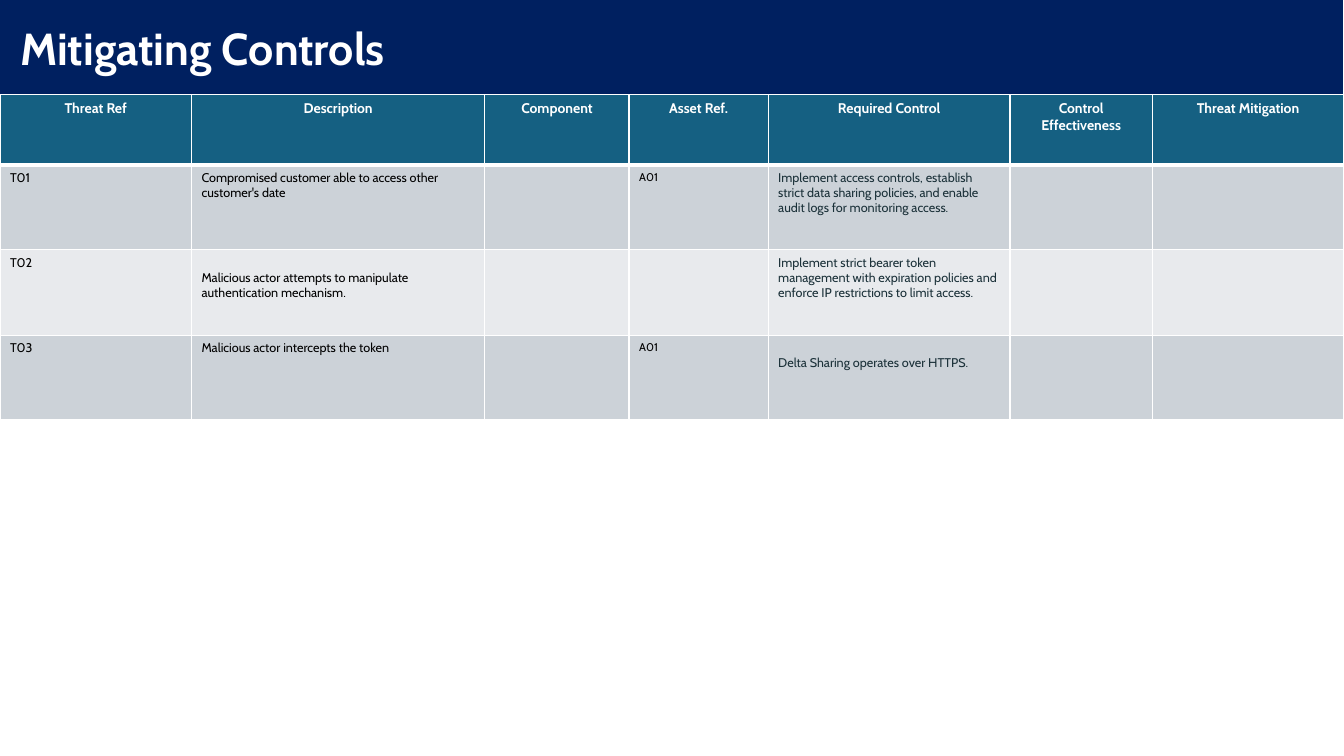
from dataclasses import dataclass
from typing import Any

from lxml import etree
from pptx import Presentation
from pptx import util as u
from pptx.dml.color import RGBColor
from pptx.enum import text
from pptx.oxml import ns

SLIDE_WIDTH, SLIDE_HEIGHT = u.Inches(13.33), u.Inches(7.5)
FONT = "Cabin"
WHITE, BLACK, SLATE = "FFFFFF", "000000", "1B3139"
NAVY, TEAL, BANDS = "002060", "156082", ("CCD2D8", "E8EAED")

# Shares of the slide's size, in percent
TITLE_WIDTH, TITLE_HEIGHT = 99.92, 12.53
COLUMN_SHARES = (14.25, 21.83, 10.73, 10.35, 18, 10.58, 14.26)
ROW_SHARES = (9.33, 11.2, 11.33, 11.07)

HEADINGS = ("Threat Ref", "Description", "Component", "Asset Ref.",
            "Required Control", "Control Effectiveness", "Threat Mitigation")
LINE_DROP = u.Inches(0.2)  # top margin of cells that start one line lower


@dataclass(frozen=True)
class Entry:
    wording: str
    size: float = 9
    colour: str = BLACK
    bold: bool = False
    centred: bool = False
    lowered: bool = False


@dataclass(frozen=True)
class Threat:
    reference: Entry
    description: Entry
    asset: Entry
    control: Entry

    def entries(self) -> list[Entry]:
        blank = Entry("")
        return [self.reference, self.description, blank, self.asset,
                self.control, blank, blank]


THREATS = (
    Threat(Entry("T01"),
           Entry("Compromised customer able to access other customer's date"),
           Entry("A01", size=8),
           Entry("Implement access controls, establish strict data sharing "
                 "policies, and enable audit logs for monitoring access.",
                 colour=SLATE)),
    Threat(Entry("T02"),
           Entry("Malicious actor attempts to manipulate authentication "
                 "mechanism.", lowered=True),
           Entry(""),
           Entry("Implement strict bearer token management with expiration "
                 "policies and enforce IP restrictions to limit access.",
                 colour=SLATE)),
    Threat(Entry("T03"),
           Entry("Malicious actor intercepts the token"),
           Entry("A01", size=8),
           Entry("Delta Sharing operates over HTTPS.", colour=SLATE,
                 lowered=True)),
)


def across(percent: float) -> int:
    return round(SLIDE_WIDTH * percent / 100)


def down(percent: float) -> int:
    return round(SLIDE_HEIGHT * percent / 100)


def paint(target: Any, colour: str) -> None:
    target.fill.solid()
    target.fill.fore_color.rgb = RGBColor.from_string(colour)


def apply(target: Any, values: dict[str, Any]) -> None:
    for name, value in values.items():
        setattr(target, name, value)


def write(frame: Any, entry: Entry) -> None:
    paragraph = frame.paragraphs[0]
    paragraph.alignment = (text.PP_ALIGN.CENTER if entry.centred
                           else text.PP_ALIGN.LEFT)
    font = paragraph.font
    if entry.wording:
        run = paragraph.add_run()
        run.text = entry.wording
        font = run.font
    apply(font, {"name": FONT, "size": u.Pt(entry.size), "bold": entry.bold})
    font.color.rgb = RGBColor.from_string(entry.colour)


def border(cell: Any, widths: dict[str, float]) -> None:
    properties = cell._tc.get_or_add_tcPr()
    for position, (side, points) in enumerate(widths.items()):
        line = etree.Element(ns.qn(f"a:ln{side}"), w=str(u.Pt(points)))
        fill = etree.SubElement(line, ns.qn("a:solidFill"))
        etree.SubElement(fill, ns.qn("a:srgbClr"), val=WHITE)
        properties.insert(position, line)


def draw_title(slide: Any) -> None:
    title = slide.shapes.title
    apply(title, {"left": 0, "top": 0, "width": across(TITLE_WIDTH),
                  "height": down(TITLE_HEIGHT)})
    paint(title, NAVY)
    apply(title.text_frame, {"margin_left": u.Inches(0.2), "word_wrap": True,
                             "auto_size": text.MSO_AUTO_SIZE.NONE,
                             "vertical_anchor": text.MSO_ANCHOR.MIDDLE})
    write(title.text_frame,
          Entry("Mitigating Controls", size=32, colour=WHITE, bold=True))


def draw_table(slide: Any) -> None:
    frame = slide.shapes.add_table(
        len(ROW_SHARES), len(COLUMN_SHARES), 0, down(TITLE_HEIGHT),
        SLIDE_WIDTH, down(sum(ROW_SHARES)))
    table = frame.table
    for column, share in zip(table.columns, COLUMN_SHARES):
        column.width = across(share)
    for row, share in zip(table.rows, ROW_SHARES):
        row.height = down(share)

    header = [Entry(heading, size=10, colour=WHITE, bold=True, centred=True)
              for heading in HEADINGS]
    contents = [header, *(threat.entries() for threat in THREATS)]
    for row_number, entries in enumerate(contents):
        fill = BANDS[(row_number - 1) % 2] if row_number else TEAL
        # The rule between header and body is the thick one
        widths = {"L": 1, "R": 1, "T": 3 if row_number == 1 else 1,
                  "B": 3 if row_number == 0 else 1}
        for column_number, entry in enumerate(entries):
            cell = table.cell(row_number, column_number)
            paint(cell, fill)
            border(cell, widths)
            if entry.lowered:
                cell.margin_top = LINE_DROP
            write(cell.text_frame, entry)


def main() -> None:
    presentation = Presentation()
    apply(presentation, {"slide_width": SLIDE_WIDTH,
                         "slide_height": SLIDE_HEIGHT})
    title_only = presentation.slide_layouts[5]
    slide = presentation.slides.add_slide(title_only)
    draw_title(slide)
    draw_table(slide)
    presentation.save("out.pptx")


if __name__ == "__main__":
    main()
